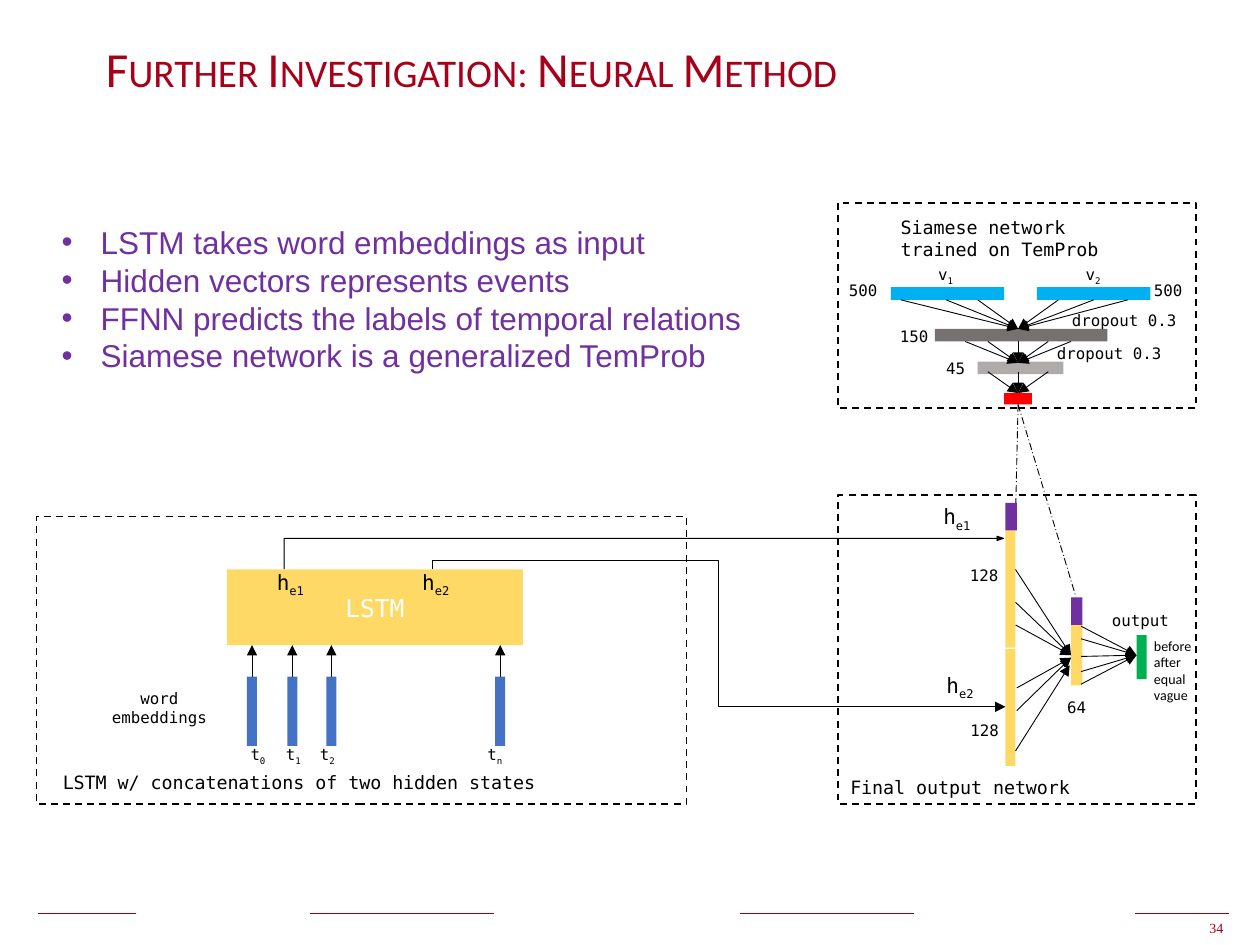
from lxml.etree import SubElement
from pptx import Presentation
from pptx.dml.color import RGBColor
from pptx.enum.dml import MSO_LINE as Dash
from pptx.enum.shapes import MSO_CONNECTOR as Link, MSO_SHAPE as Preset
from pptx.enum.text import MSO_ANCHOR as Anchor, MSO_AUTO_SIZE as AutoSize, PP_ALIGN as Align
from pptx.oxml.ns import qn
from pptx.util import Inches, Pt

MONO = "DejaVu Sans Mono"
BLACK, RED, YELLOW, PURPLE = "000000", "A7001B", "FFD966", "7030A0"


def color(value):
    return RGBColor.from_string(value)


def style_run(run, size, face=MONO, ink=BLACK):
    for key, value in {"size": Pt(size), "name": face}.items():
        setattr(run.font, key, value)
    run.font.color.rgb = color(ink)


def add_label(slide, place, lines, size=9, sub="", align=Align.CENTER, wrap=True,
              face=MONO, ink=BLACK, spacing=None, bullet=None):
    label = slide.shapes.add_textbox(*map(Inches, place))
    frame = label.text_frame
    for key, value in {"word_wrap": wrap, "auto_size": AutoSize.SHAPE_TO_FIT_TEXT}.items():
        setattr(frame, key, value)
    for index, line in enumerate(lines):
        paragraph = frame.add_paragraph() if index else frame.paragraphs[0]
        paragraph.alignment = align
        if spacing:
            paragraph.line_spacing = Pt(spacing)
        if bullet:
            properties = paragraph._p.get_or_add_pPr()
            properties.set("marL", str(Inches(0.31)))
            properties.set("indent", str(Inches(-0.31)))
            SubElement(properties, qn("a:buFont")).set("typeface", "Arial")
            SubElement(properties, qn("a:buChar")).set("char", bullet)
        run = paragraph.add_run()
        run.text = line
        style_run(run, size, face, ink)
        if sub:
            subscript = paragraph.add_run()
            subscript.text = sub
            style_run(subscript, size, face, ink)
            subscript._r.get_or_add_rPr().set("baseline", "-25000")


def add_block(slide, place, fill):
    block = slide.shapes.add_shape(Preset.RECTANGLE, *map(Inches, place))
    block.shadow.inherit = False
    block.fill.solid()
    block.fill.fore_color.rgb = color(fill)
    block.line.fill.background()
    return block


def add_frame(slide, place):
    frame = slide.shapes.add_shape(Preset.RECTANGLE, *map(Inches, place))
    frame.shadow.inherit = False
    frame.fill.background()
    frame.line.color.rgb = color(BLACK)
    for key, value in {"width": Pt(1), "dash_style": Dash.DASH}.items():
        setattr(frame.line, key, value)


def add_link(slide, start, end, arrow=True, kind=Link.STRAIGHT, ink=BLACK, width=0.5, dash=None):
    link = slide.shapes.add_connector(kind, *map(Inches, (*start, *end)))
    link.line.color.rgb = color(ink)
    for key, value in {"width": Pt(width), "dash_style": dash}.items():
        setattr(link.line, key, value)
    if arrow:
        SubElement(link.line._get_or_add_ln(), qn("a:tailEnd")).set("type", "triangle")
    SubElement(link._element.spPr, qn("a:effectLst"))


def add_fan(slide, starts, end):
    for start in starts:
        add_link(slide, start, end)


def add_first_state_arrow(slide):
    arrow = slide.shapes.add_shape(Preset.BENT_UP_ARROW, *map(Inches, (4.98, 1.53, 0.26, 5.71)))
    arrow.shadow.inherit = False
    for index, value in enumerate((0, 0.068, 0.201)):
        arrow.adjustments[index] = value
    arrow.rotation = 90
    arrow._element.spPr.find(qn("a:xfrm")).set("flipH", "1")
    arrow.fill.solid()
    arrow.fill.fore_color.rgb = color(BLACK)
    arrow.line.color.rgb = color(BLACK)
    arrow.line.width = Pt(0.5)


def add_title(slide):
    title = slide.shapes.title
    for key, value in {"left": 0.74, "top": 0.25, "width": 8.5, "height": 0.58}.items():
        setattr(title, key, Inches(value))
    title.text_frame.vertical_anchor = Anchor.MIDDLE
    paragraph = title.text_frame.paragraphs[0]
    paragraph.alignment = Align.LEFT
    run = paragraph.add_run()
    run.text = "Further Investigation: Neural Method"
    style_run(run, 28, "Calibri", RED)
    run._r.get_or_add_rPr().set("cap", "small")


def add_footer(slide):
    for left, right in ((0.3, 1.08), (2.46, 3.92), (5.87, 7.25), (9.01, 9.75)):
        add_link(slide, (left, 7.25), (right, 7.25), arrow=False, ink="A80000", width=1)
    add_label(slide, (9.5, 7.25, 0.33, 0.23), ["34"], 8, align=Align.LEFT, wrap=False,
              face="Times New Roman", ink=RED)


def add_lstm(slide):
    add_frame(slide, (0.29, 4.1, 5.16, 2.28))
    lstm = add_block(slide, (1.8, 4.52, 2.35, 0.6), YELLOW)
    lstm.text_frame.vertical_anchor = Anchor.MIDDLE
    paragraph = lstm.text_frame.paragraphs[0]
    paragraph.alignment = Align.CENTER
    run = paragraph.add_run()
    run.text = "LSTM"
    style_run(run, 14, ink="FFFFFF")
    for center, token_left, step in ((2, 1.89, "0"), (2.32, 2.17, "1"),
                                     (2.63, 2.44, "2"), (3.97, 3.77, "n")):
        add_block(slide, (center - 0.04, 5.37, 0.08, 0.55), "4472C4")
        add_link(slide, (center, 5.37), (center, 5.12))
        add_label(slide, (token_left, 5.86, 0.4, 0.25), ["t"], sub=step,
                  align=Align.LEFT, wrap=False)
    add_label(slide, (0.65, 5.42, 1.23, 0.4), ["word embeddings"])
    add_label(slide, (2.03, 4.47, 0.55, 0.3), ["h"], 12, "e1")
    add_label(slide, (3.23, 4.47, 0.46, 0.3), ["h"], 12, "e2")
    add_label(slide, (0.4, 6.07, 5.06, 0.29), ["LSTM w/ concatenations of two hidden states"],
              10.5, align=Align.LEFT)


def add_output_network(slide):
    add_frame(slide, (6.65, 3.93, 2.84, 2.45))
    for place, fill in (((7.98, 4.21, 0.08, 0.93), YELLOW), ((7.98, 5.15, 0.08, 0.93), YELLOW),
                        ((7.98, 3.99, 0.09, 0.22), PURPLE), ((8.5, 4.96, 0.09, 0.48), YELLOW),
                        ((8.5, 4.74, 0.09, 0.22), PURPLE), ((9.02, 5.04, 0.08, 0.35), "00B050")):
        add_block(slide, place, fill)
    add_fan(slide, [(8.06, y) for y in (4.52, 4.78, 4.96)], (8.5, 5.2))
    add_fan(slide, [(8.07, y) for y in (5.46, 5.64)], (8.5, 5.22))
    add_link(slide, (8.06, 5.96), (8.49, 5.28))
    add_fan(slide, [(8.58, y) for y in (4.97, 5.07, 5.21, 5.33, 5.43)], (9.02, 5.2))
    for place, text in (((7.56, 4.44, 0.5, 0.25), "128"), ((7.51, 5.67, 0.61, 0.25), "128"),
                        ((8.32, 5.49, 0.45, 0.25), "64"), ((8.7, 4.8, 0.7, 0.25), "output")):
        add_label(slide, place, [text])
    add_label(slide, (7.32, 3.95, 0.55, 0.3), ["h"], 12, "e1")
    add_label(slide, (7.39, 5.29, 0.46, 0.3), ["h"], 12, "e2")
    add_label(slide, (9.06, 5.01, 0.51, 0.61), ["before", "after", "equal", "vague"], 8,
              align=Align.LEFT, wrap=False, face="Calibri", spacing=9.4)
    add_label(slide, (6.65, 6.11, 2.6, 0.29), ["Final output network"], 10.5, align=Align.LEFT)


def add_siamese_network(slide):
    add_frame(slide, (6.65, 1.61, 2.84, 1.63))
    for place, fill in (((7.07, 2.28, 0.9, 0.1), "00B0F0"), ((8.23, 2.28, 0.9, 0.1), "00B0F0"),
                        ((7.42, 2.61, 1.37, 0.1), "767171"), ((7.76, 2.87, 0.68, 0.1), "AFABAB"),
                        ((7.97, 3.12, 0.22, 0.09), "FF0000")):
        add_block(slide, place, fill)
    for xs, top, bottom in (((7.15, 7.51, 7.76, 8.4, 8.68, 8.95), 2.38, 2.61),
                            ((7.66, 7.84, 8.08, 8.32, 8.5), 2.71, 2.88),
                            ((7.84, 8.08, 8.32), 2.95, 3.12)):
        add_fan(slide, [(x, top) for x in xs], (8.08, bottom))
    for left, vector in ((6.89, "1"), (8.06, "2")):
        add_label(slide, (left, 2.05, 1.23, 0.25), ["v"], sub=vector)
    for place, units in (((6.62, 2.18, 0.46, 0.25), "500"), ((9.04, 2.18, 0.46, 0.25), "500"),
                         ((6.82, 2.54, 0.87, 0.25), "150"), ((7.15, 2.8, 0.87, 0.25), "45")):
        add_label(slide, place, [units])
    for left, top in ((8.41, 2.42), (8.29, 2.68)):
        add_label(slide, (left, top, 1.03, 0.25), ["dropout 0.3"], align=Align.LEFT, wrap=False)
    add_label(slide, (7.05, 1.67, 2.14, 0.47), ["Siamese network trained on TemProb"], 10.5,
              align=Align.LEFT)


def add_network_links(slide):
    add_first_state_arrow(slide)
    add_link(slide, (3.43, 4.45), (7.98, 5.61), kind=Link.ELBOW)
    add_link(slide, (3.43, 4.45), (3.43, 4.52), arrow=False)
    for end in ((8.06, 4.1), (8.54, 4.74)):
        add_link(slide, (8.08, 3.21), end, arrow=False, dash=Dash.LONG_DASH_DOT)


def main():
    deck = Presentation()
    deck.slide_width, deck.slide_height = Inches(10), Inches(7.5)
    slide = deck.slides.add_slide(deck.slide_layouts[5])
    add_title(slide)
    add_footer(slide)
    add_network_links(slide)
    add_lstm(slide)
    add_output_network(slide)
    add_siamese_network(slide)
    add_label(slide, (0.39, 1.72, 5.92, 1.31),
              ["LSTM takes word embeddings as input",
               "Hidden vectors represents events",
               "FFNN predicts the labels of temporal relations",
               "Siamese network is a generalized TemProb"],
              18, align=Align.LEFT, face="Arial", ink=PURPLE, bullet="•")
    deck.save("out.pptx")


if __name__ == "__main__":
    main()
